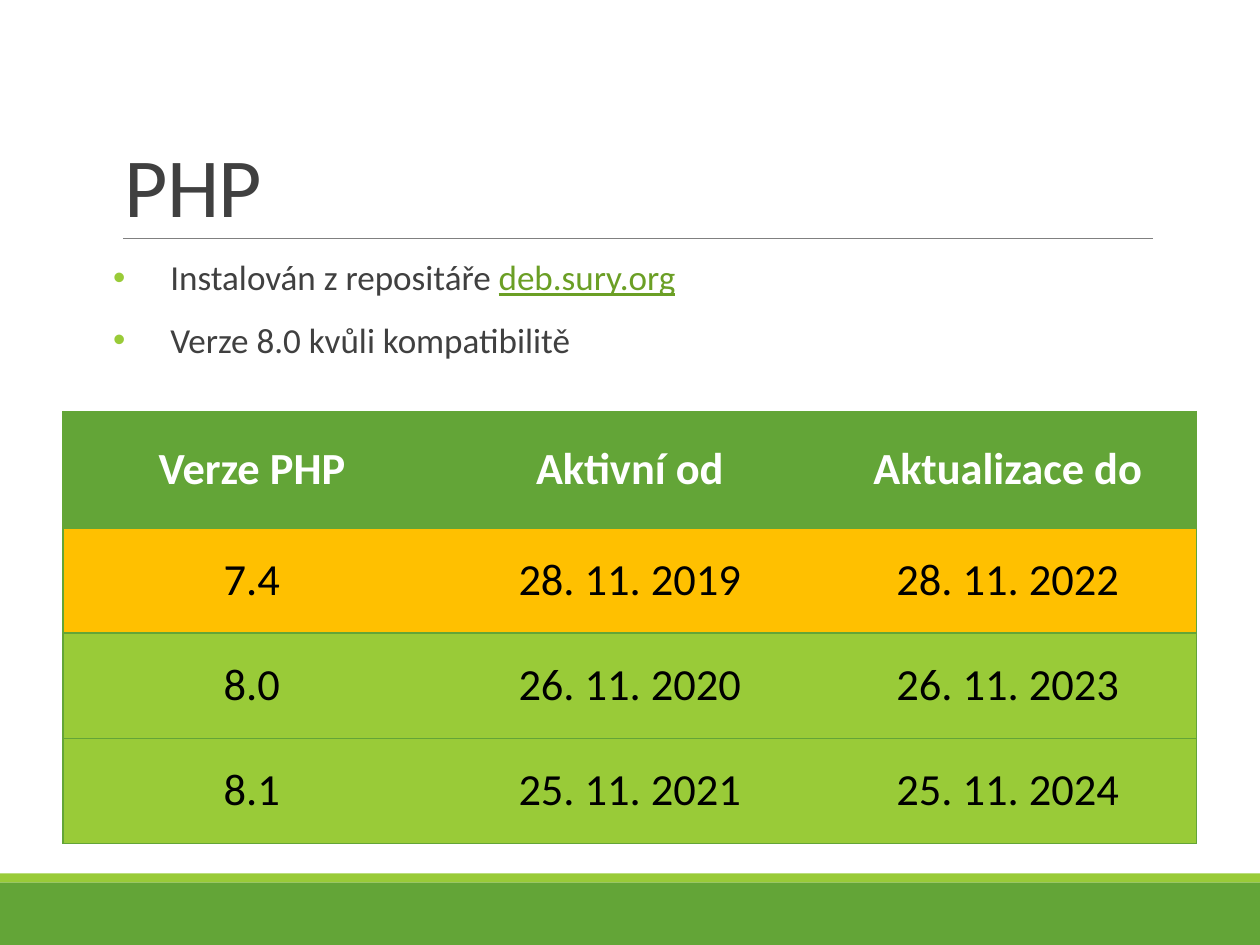
import pptx
import pptx.dml.color
import pptx.enum.shapes
import pptx.enum.text
import pptx.oxml
import pptx.oxml.ns
import pptx.util
from lxml import etree

Inches = pptx.util.Inches
Pt = pptx.util.Pt
qn = pptx.oxml.ns.qn

FONT = "Calibri"
GREEN, LIME, AMBER = "63A537", "99CB38", "FFC000"
DARK, LINK, RULE = "404040", "6B9F25", "808080"
TITLE = "PHP"
BULLETS = [
    [("Instalován z repositáře ", DARK, False), ("deb.sury.org", LINK, True)],
    [("Verze 8.0 kvůli kompatibilitě", DARK, False)],
]
VERSIONS = [
    (GREEN, 1.02, ("Verze PHP", "Aktivní od", "Aktualizace do")),
    (AMBER, 0.92, ("7.4", "28. 11. 2019", "28. 11. 2022")),
    (LIME, 0.92, ("8.0", "26. 11. 2020", "26. 11. 2023")),
    (LIME, 0.92, ("8.1", "25. 11. 2021", "25. 11. 2024")),
]
BANDS = [(7.72, 0.55, GREEN), (7.64, 0.08, LIME)]
CM_PER_INCH = 2.54
WIDTH, HEIGHT = 28 / CM_PER_INCH, 21 / CM_PER_INCH


def color(value):
    return pptx.dml.color.RGBColor.from_string(value)


def style(font, size, value, bold=False):
    font.name = FONT
    font.size = Pt(size)
    font.bold = bold
    font.color.rgb = color(value)


def place(shape, left, top, width, height):
    shape.left, shape.top = Inches(left), Inches(top)
    shape.width, shape.height = Inches(width), Inches(height)


def add_bands(page):
    for top, height, fill in BANDS:
        band = page.shapes.add_shape(
            pptx.enum.shapes.MSO_SHAPE.RECTANGLE,
            Inches(0), Inches(top), Inches(WIDTH), Inches(height))
        band.shadow.inherit = False
        band.fill.solid()
        band.fill.fore_color.rgb = color(fill)
        band.line.fill.background()


def add_rule(page):
    rule = page.shapes.add_connector(
        pptx.enum.shapes.MSO_CONNECTOR.STRAIGHT,
        Inches(1.08), Inches(2.09), Inches(10.09), Inches(2.09))
    rule.line.color.rgb = color(RULE)
    rule.line.width = Pt(0.5)
    etree.SubElement(rule._element.spPr, qn("a:effectLst"))


def fill_title(box):
    place(box, 0.99, 0.35, 9.1, 1.75)
    frame = box.text_frame
    frame.auto_size = pptx.enum.text.MSO_AUTO_SIZE.NONE
    frame.vertical_anchor = pptx.enum.text.MSO_ANCHOR.BOTTOM
    para = frame.paragraphs[0]
    para.alignment = pptx.enum.text.PP_ALIGN.LEFT
    para.line_spacing = 0.85
    span = para.add_run()
    span.text = TITLE
    span._r.get_or_add_rPr().set("spc", "-60")
    style(para.font, 52.9, DARK)


def add_bullet(para):
    props = para._p.get_or_add_pPr()
    props.set("marL", str(Inches(0.5)))
    props.set("indent", str(Inches(-0.5)))
    tint = etree.SubElement(props, qn("a:buClr"))
    etree.SubElement(tint, qn("a:srgbClr"), val=LIME)
    etree.SubElement(props, qn("a:buChar"), char="•")


def fill_body(box):
    place(box, 0.99, 2.23, 9.1, 4.85)
    frame = box.text_frame
    frame.auto_size = pptx.enum.text.MSO_AUTO_SIZE.NONE
    frame.margin_left = frame.margin_right = 0
    for index, spans in enumerate(BULLETS):
        para = frame.add_paragraph() if index else frame.paragraphs[0]
        add_bullet(para)
        para.line_spacing = 0.9
        para.space_before = Pt(13.2 if index else 0)
        para.space_after = Pt(2.2)
        for text, value, underline in spans:
            span = para.add_run()
            span.text = text
            style(span.font, 22.1, value)
            span.font.underline = underline


def set_borders(cell, visible):
    props = cell._tc.get_or_add_tcPr()
    for index, side in enumerate("LRTB"):
        line = etree.Element(qn("a:ln" + side), w=str(Pt(1)))
        if side in visible:
            fill = etree.SubElement(line, qn("a:solidFill"))
            etree.SubElement(fill, qn("a:srgbClr"), val=GREEN)
        else:
            etree.SubElement(line, qn("a:noFill"))
        props.insert(index, line)


def add_versions(page):
    count = len(VERSIONS[0][2])
    total = sum(height for _, height, _ in VERSIONS)
    table = page.shapes.add_table(
        len(VERSIONS), count,
        Inches(0.55), Inches(3.6), Inches(9.92), Inches(total)).table
    table.horz_banding = False
    for column in table.columns:
        column.width = Inches(9.92 / count)
    for row, (fill, height, texts) in enumerate(VERSIONS):
        table.rows[row].height = Inches(height)
        for col, text in enumerate(texts):
            cell = table.cell(row, col)
            cell.text = text
            cell.vertical_anchor = pptx.enum.text.MSO_ANCHOR.MIDDLE
            cell.fill.solid()
            cell.fill.fore_color.rgb = color(fill)
            sides = "TB" + ("L" if col == 0 else "") + ("R" if col == count - 1 else "")
            set_borders(cell, sides)
            para = cell.text_frame.paragraphs[0]
            para.alignment = pptx.enum.text.PP_ALIGN.CENTER
            style(para.font, 28, "000000" if row else "FFFFFF", row == 0)


def main():
    deck = pptx.Presentation()
    deck.slide_width, deck.slide_height = Inches(WIDTH), Inches(HEIGHT)
    page = deck.slides.add_slide(deck.slide_layouts[1])
    add_bands(page)
    add_rule(page)
    fill_title(page.shapes.title)
    fill_body(page.placeholders[1])
    add_versions(page)
    deck.save("out.pptx")


if __name__ == "__main__":
    main()
